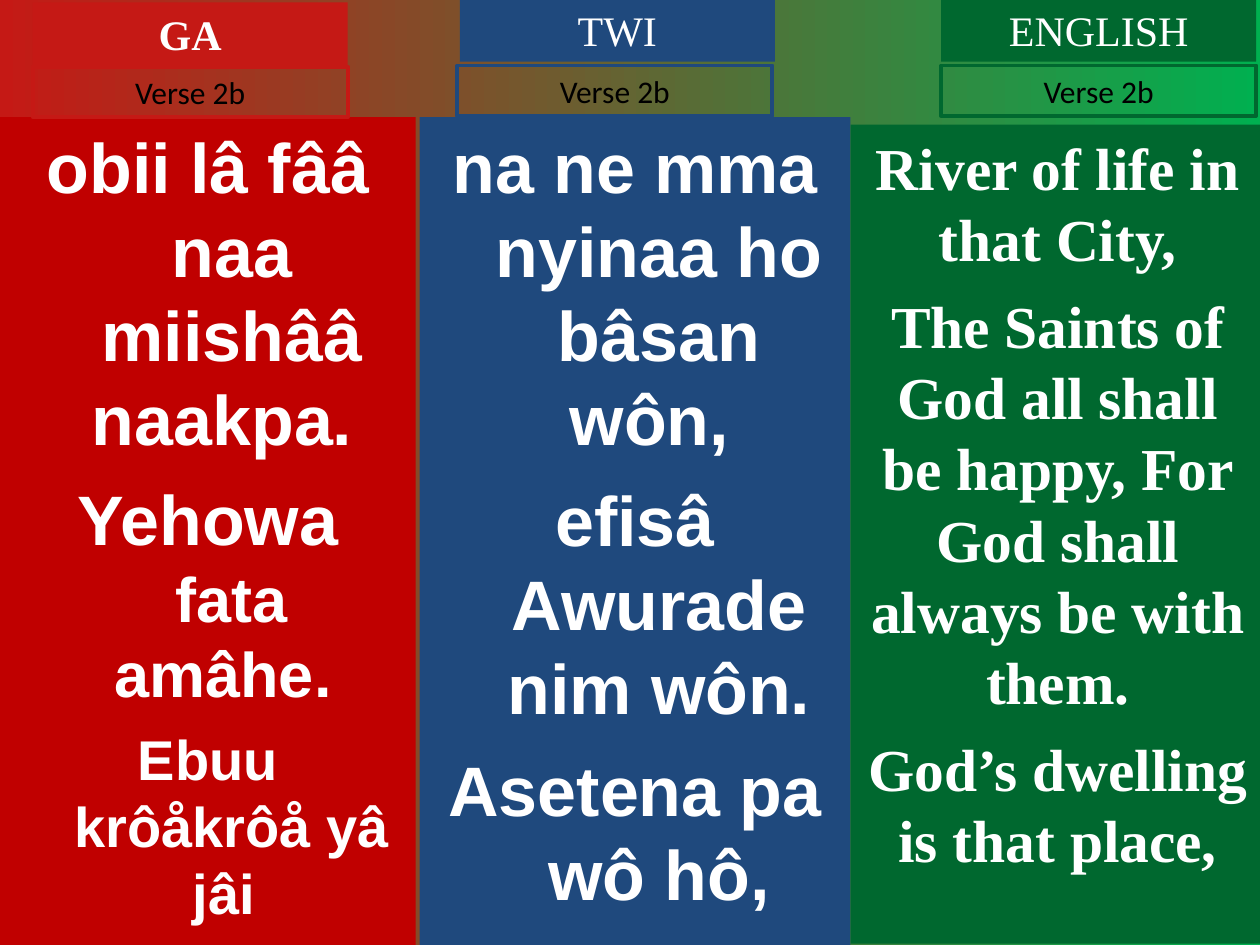
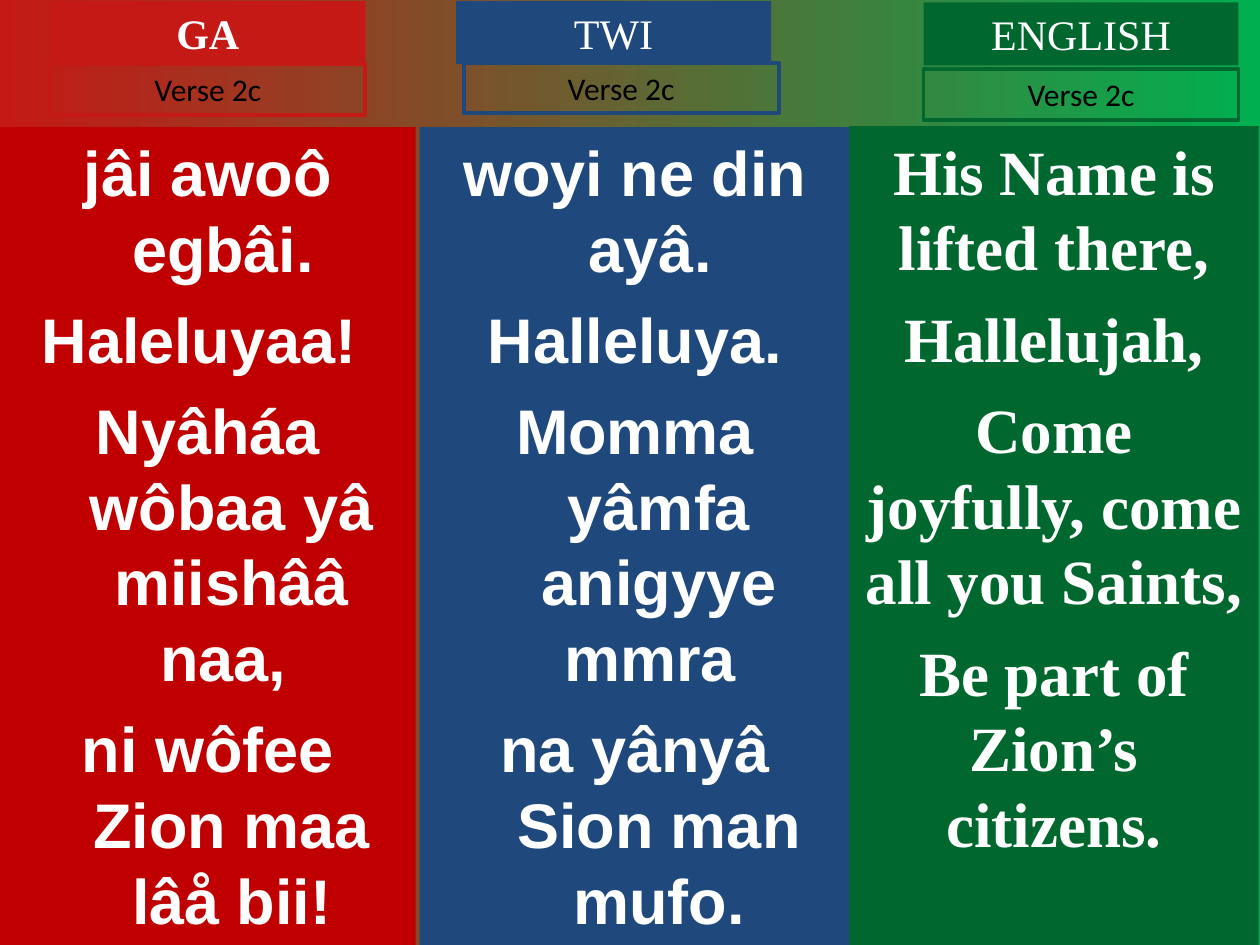
import pptx
import pptx.util
import pptx.dml.color
import pptx.enum.shapes
import pptx.enum.text

Inches, Pt = pptx.util.Inches, pptx.util.Pt

# Shared look of the three language columns
LANGUAGES = {
    "GA": dict(body="C00000", label="C51915", font="Arial", hang=0.38, bold=True),
    "TWI": dict(body="1F497D", label="1F497D", font="Arial", hang=0.38, bold=False),
    "ENGLISH": dict(body="00682F", label="00682F", font="Times New Roman", hang=0, bold=False),
}
BACKGROUND = ("C51915", "00B050")
LABEL_W, LABEL_H, VERSE_H = 2.5, 0.5, 0.4

# For each language: lyrics box, label corner, verse corner, and lines of (text, size) runs
SLIDES = [
    ("Verse 2b", {
        "GA": ((0, 0.93, 3.3, 6.57), (0.26, 0.02), (0.26, 0.53), [
            [("obii lâ fââ naa miishââ naakpa. ", 40)],
            [("Yehowa ", 40), ("fata amâhe. ", 36)],
            [("Ebuu krôåkrôå yâ jâi ", 32)]]),
        "TWI": ((3.33, 0.93, 3.42, 6.57), (3.65, -0.01), (3.63, 0.52), [
            [("na ne mma nyinaa ho bâsan wôn, ", 40)],
            [("efisâ Awurade nim wôn.", 40)],
            [("Asetena pa wô hô,", 40)]]),
        "ENGLISH": ((6.75, 0.99, 3.29, 6.5), (7.47, -0.01), (7.47, 0.52), [
            [("River of life in that City,", 34)],
            [("The Saints of God all shall be happy, For God shall always be with them.", 34)],
            [("God’s dwelling is that place,", 34)]]),
    }),
    ("Verse 2c", {
        "GA": ((0, 1.01, 3.3, 6.49), (0.4, 0.01), (0.4, 0.51), [
            [("jâi awoô egbâi. ", 36)],
            [("Haleluyaa! ", 36)],
            [("Nyâháa wôbaa yâ miishââ naa, ", 36)],
            [("ni wôfee Zion maa lâå bii!", 36)]]),
        "TWI": ((3.33, 1.01, 3.42, 6.49), (3.62, 0.01), (3.68, 0.5), [
            [("woyi ne din ayâ. ", 36)],
            [("Halleluya.", 36)],
            [("Momma yâmfa anigyye mmra ", 36)],
            [("na yânyâ Sion man mufo.", 36)]]),
        "ENGLISH": ((6.74, 1, 3.25, 6.51), (7.33, 0.02), (7.33, 0.55), [
            [("His Name is lifted there,", 36)],
            [("Hallelujah,", 36)],
            [("Come joyfully, come all you Saints,", 36)],
            [("Be part of Zion’s citizens.", 36)]]),
    }),
]


def rgb(color):
    return pptx.dml.color.RGBColor.from_string(color)


def add_box(s, box, fill=None, line=None, grow=False):
    sp = s.shapes.add_shape(pptx.enum.shapes.MSO_SHAPE.RECTANGLE, *map(Inches, box))
    sp.shadow.inherit = False
    if fill:
        sp.fill.solid()
        sp.fill.fore_color.rgb = rgb(fill)
    else:
        sp.fill.background()
    if line:
        sp.line.color.rgb = rgb(line)
        sp.line.width = Pt(2.25)
    else:
        sp.line.fill.background()
    tf = sp.text_frame
    auto = pptx.enum.text.MSO_AUTO_SIZE
    frame = dict(word_wrap=True, vertical_anchor=pptx.enum.text.MSO_ANCHOR.TOP,
                 auto_size=auto.SHAPE_TO_FIT_TEXT if grow else auto.NONE)
    for name, value in frame.items():
        setattr(tf, name, value)
    return tf


def add_runs(p, runs, font, color="FFFFFF", bold=False):
    p.alignment = pptx.enum.text.PP_ALIGN.CENTER
    for text, size in runs:
        r = p.add_run()
        r.text = text
        for name, value in dict(name=font, size=Pt(size), bold=bold).items():
            setattr(r.font, name, value)
        r.font.color.rgb = rgb(color)


def add_lyrics(s, box, look, lines):
    tf = add_box(s, box, fill=look["body"])
    for i, runs in enumerate(lines):
        p = tf.add_paragraph() if i else tf.paragraphs[0]
        if look["hang"]:
            pPr = p._p.get_or_add_pPr()
            pPr.set("marL", str(Inches(look["hang"])))
            pPr.set("indent", str(-Inches(look["hang"])))
        # The gap above a line is a quarter of its closing text size
        p.space_before = Pt(runs[-1][1] / 4 if i else 0)
        add_runs(p, runs, look["font"], bold=True)


def add_heading(s, language, verse, look, label_at, verse_at):
    tf = add_box(s, (*label_at, LABEL_W, LABEL_H), fill=look["label"], grow=True)
    add_runs(tf.paragraphs[0], [(language, 24)], "Times New Roman", bold=look["bold"])
    tf = add_box(s, (*verse_at, LABEL_W, VERSE_H), line=look["label"], grow=True)
    add_runs(tf.paragraphs[0], [(verse, 18)], "Calibri", color="000000")


def add_verse_slide(prs, verse, columns):
    s = prs.slides.add_slide(prs.slide_layouts[6])
    fill = s.background.fill
    fill.gradient()
    fill.gradient_angle = 0
    for stop, color in zip(fill.gradient_stops, BACKGROUND):
        stop.color.rgb = rgb(color)
    for language, (box, label_at, verse_at, lines) in columns.items():
        look = LANGUAGES[language]
        add_lyrics(s, box, look, lines)
        add_heading(s, language, verse, look, label_at, verse_at)


def main():
    prs = pptx.Presentation()
    prs.slide_width, prs.slide_height = Inches(10), Inches(7.5)
    for verse, columns in SLIDES:
        add_verse_slide(prs, verse, columns)
    prs.save("out.pptx")


if __name__ == "__main__":
    main()
